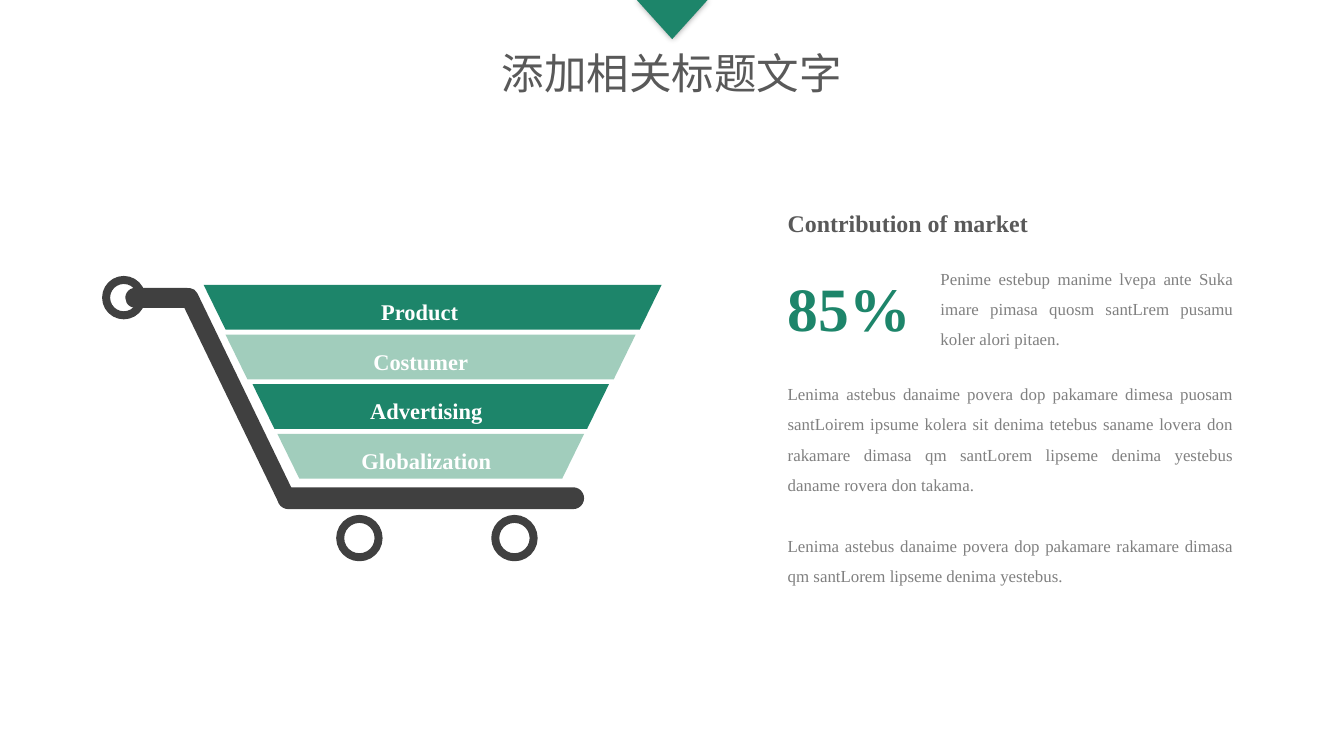
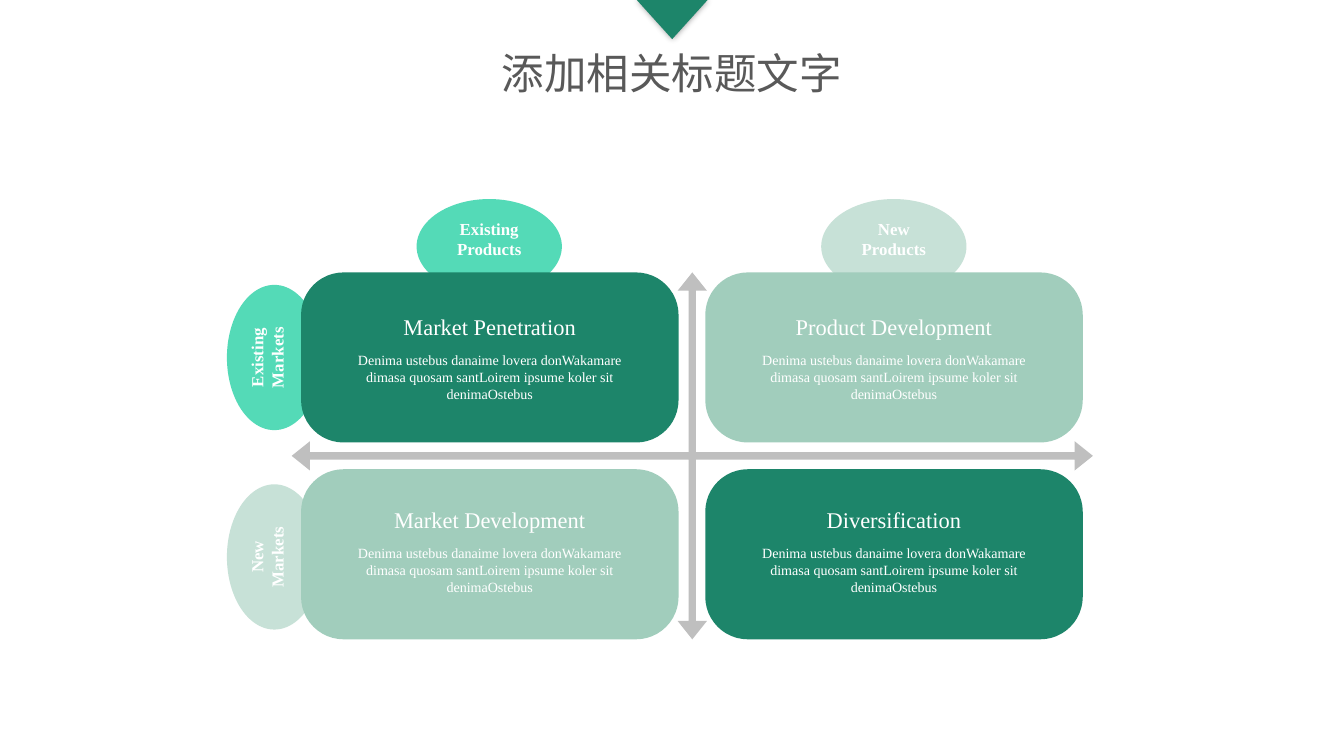
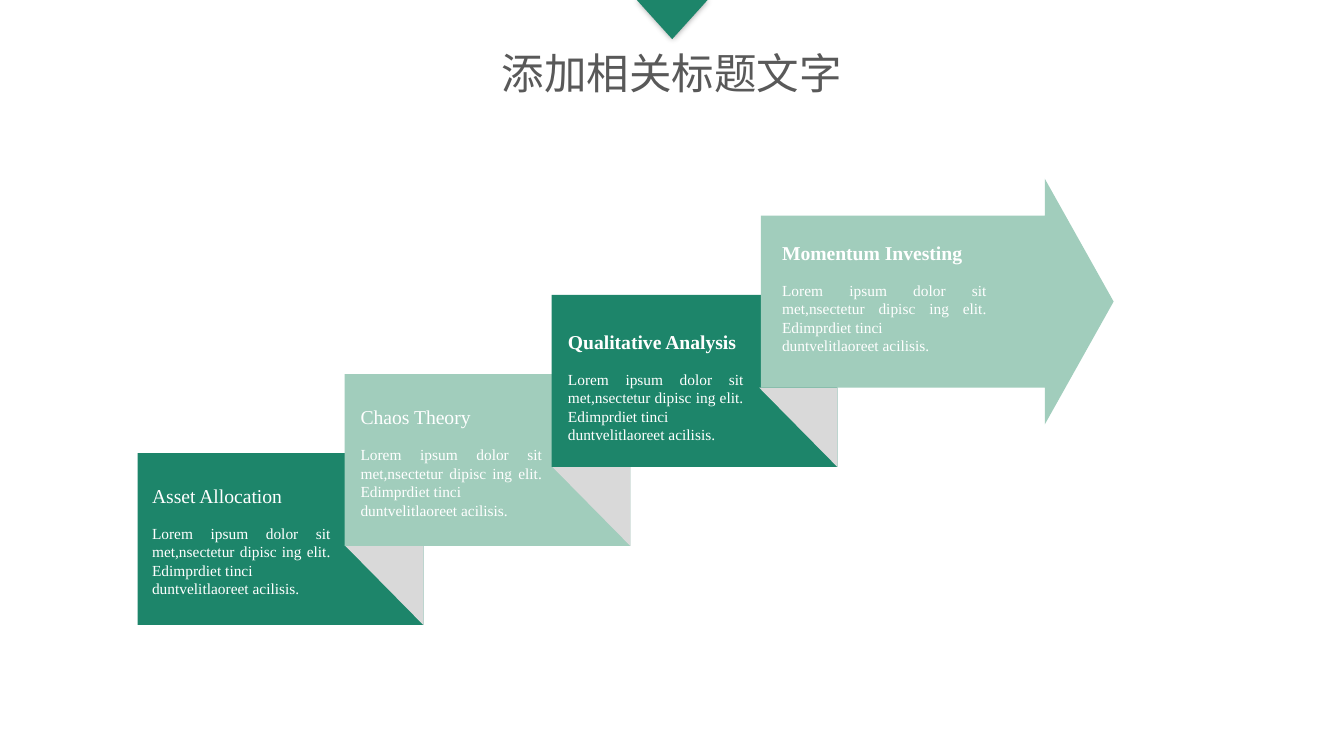
"""Build three slides: a market cart, a growth matrix and a rising arrow."""
from lxml.etree import SubElement
from pptx import Presentation
from pptx.dml.color import RGBColor
from pptx.enum.shapes import MSO_SHAPE
from pptx.enum.text import MSO_ANCHOR, PP_ALIGN
from pptx.oxml.ns import qn
from pptx.util import Cm, Pt

GREEN = RGBColor(0x1D, 0x85, 0x6A)
SAGE = RGBColor(0xA1, 0xCD, 0xBC)
MINT = RGBColor(0x54, 0xDA, 0xB7)
PALE = RGBColor(0xC7, 0xE1, 0xD7)
DARK = RGBColor(0x40, 0x40, 0x40)
SLATE = RGBColor(0x59, 0x59, 0x59)
GRAY = RGBColor(0x80, 0x80, 0x80)
STEEL = RGBColor(0xBF, 0xBF, 0xBF)
FOLD = RGBColor(0xD9, 0xD9, 0xD9)
WHITE = RGBColor(0xFF, 0xFF, 0xFF)
SERIF = "Times New Roman"
SANS = "Noto Sans CJK SC"
TITLE = "添加相关标题文字"

ROWS = [
    ("Product", 5.41, 12.17, 11.15),
    ("Costumer", 5.99, 10.9, 11.18),
    ("Advertising", 6.71, 9.47, 11.33),
    ("Globalization", 7.37, 8.15, 11.33),
]
INTRO = ("Penime estebup manime lvepa ante Suka imare pimasa quosm "
         "santLrem pusamu koler alori pitaen.")
LONG = ("Lenima astebus danaime povera dop pakamare dimesa puosam santLoirem "
        "ipsume kolera sit denima tetebus saname lovera don rakamare dimasa qm "
        "santLorem lipseme denima yestebus daname rovera don takama.")
SHORT = ("Lenima astebus danaime povera dop pakamare rakamare dimasa qm "
         "santLorem lipseme denima yestebus.")
OVALS = [
    ("Existing\nProducts", 13, 6.55, MINT, 0),
    ("New\nProducts", 23.75, 6.55, PALE, 0),
    ("New\nMarkets", 7.29, 14.8, PALE, 270),
    ("Existing\nMarkets", 7.29, 9.5, MINT, 270),
]
CARDS = [
    ("Market Penetration", GREEN),
    ("Product Development", SAGE),
    ("Market Development", SAGE),
    ("Diversification", GREEN),
]
NOTE = ("Denima ustebus danaime lovera donWakamare dimasa quosam santLoirem "
        "ipsume koler sit denimaOstebus")
STEPS = [
    ("Asset Allocation", 4.04, 12.85, 4.75, False),
    ("Chaos Theory", 9.58, 10.77, 4.83, False),
    ("Qualitative Analysis", 15.09, 8.76, 4.67, True),
    ("Momentum Investing", 20.78, 6.4, 5.44, True),
]
LOREM = ("Lorem ipsum dolor sit met,nsectetur dipisc ing elit. Edimprdiet tinci\n"
         "duntvelitlaoreet acilisis.")


def say(frame, text, size=12.7, tint=WHITE, bold=False, face=SERIF,
        align=PP_ALIGN.LEFT, line=None, gap=0, add=False):
    """Write lines of text as paragraphs, with the gap above the first."""
    for num, words in enumerate(text.split("\n")):
        para = frame.add_paragraph() if add or num else frame.paragraphs[0]
        para.alignment = align
        para.space_before = Pt(0 if num else gap)
        if line:
            para.line_spacing = line
        run = para.add_run()
        run.text = words
        font = run.font
        font.size, font.bold, font.name = Pt(size), bold, face
        font.color.rgb = tint
        SubElement(font._element, qn("a:ea")).set("typeface", face)


def fit(frame, pads=(0, 0, 0, 0), anchor=MSO_ANCHOR.TOP, wrap=True):
    """Set left, top, right and bottom insets, anchor and wrapping."""
    left, top, right, base = (Cm(pad) for pad in pads)
    frame.margin_left, frame.margin_top = left, top
    frame.margin_right, frame.margin_bottom = right, base
    frame.vertical_anchor = anchor
    frame.word_wrap = wrap
    return frame


def box(slide, left, top, width, height, **area):
    """Add a text box and return its frame."""
    area.setdefault("pads", (0.25, 0.13, 0.25, 0.13))
    item = slide.shapes.add_textbox(Cm(left), Cm(top), Cm(width), Cm(height))
    return fit(item.text_frame, **area)


def form(slide, kind, left, top, width, height, fill, turn=0, adj=()):
    """Add a plain filled preset shape."""
    item = slide.shapes.add_shape(kind, Cm(left), Cm(top), Cm(width), Cm(height))
    item.shadow.inherit = False
    item.fill.solid()
    item.fill.fore_color.rgb = fill
    item.line.fill.background()
    item.rotation = turn
    for num, value in enumerate(adj):
        item.adjustments[num] = value
    return item


def ring(slide, left, top, size):
    """Add an open circle with a thick dark line."""
    item = form(slide, MSO_SHAPE.OVAL, left, top, size, size, DARK)
    item.fill.background()
    item.line.color.rgb = DARK
    item.line.width = Pt(6)


def glow(item):
    """Give a shape a soft shadow on all sides."""
    list_ = item._element.spPr.find(qn("a:effectLst"))
    shade = SubElement(list_, qn("a:outerShdw"), blurRad=str(Pt(5)), dist="0",
                       dir="0", algn="ctr", rotWithShape="0")
    tone = SubElement(shade, qn("a:srgbClr"), val="000000")
    SubElement(tone, qn("a:alpha"), val="40000")


def page(deck):
    """Add a slide with the shared title and top marker."""
    slide = deck.slides.add_slide(deck.slide_layouts[5])
    title = slide.shapes.title
    title.left, title.top = Cm(12.7), Cm(1.14)
    title.width, title.height = Cm(10.31), Cm(1.55)
    frame = fit(title.text_frame, pads=(0.18, 0.1, 0.18, 0.1))
    say(frame, TITLE, size=32, tint=SLATE, face=SANS, align=PP_ALIGN.CENTER)
    glow(form(slide, MSO_SHAPE.ISOSCELES_TRIANGLE, 16.92, 0, 1.88, 1.04, GREEN,
              turn=180, adj=[0.5]))
    return slide


def cart(slide):
    """Draw the cart with its four layers."""
    for left, top, size in [(9.04, 13.79, 1.02), (13.16, 13.79, 1.02),
                            (2.82, 7.44, 0.94)]:
        ring(slide, left, top, size)
    for left, top, width, height, turn in [(7.37, 12.95, 8.15, 0.58, 0),
                                           (3.12, 10.31, 6.38, 0.48, 64.2),
                                           (3.33, 7.65, 1.88, 0.53, 0)]:
        form(slide, MSO_SHAPE.ROUNDED_RECTANGLE, left, top, width, height, DARK,
             turn=turn, adj=[0.5])
    for num, (name, left, width, mid) in enumerate(ROWS):
        top = 7.57 + 1.32 * num
        form(slide, MSO_SHAPE.TRAPEZOID, left, top, width, 1.19,
             SAGE if num % 2 else GREEN, turn=180, adj=[0.49])
        label = box(slide, mid - 2, top + 0.35, 4, 0.71, pads=(0, 0, 0, 0),
                    anchor=MSO_ANCHOR.MIDDLE)
        say(label, name, size=16.9, bold=True, align=PP_ALIGN.CENTER)


def market(slide):
    """Write the market figure and its notes."""
    say(box(slide, 20.68, 5.41, 6.96, 1.02, wrap=False),
        "Contribution of market", size=18, tint=SLATE, bold=True)
    say(box(slide, 20.68, 7.04, 3.81, 2.24, wrap=False), "85%", size=46.4,
        tint=GREEN, bold=True)
    prose = dict(tint=GRAY, align=PP_ALIGN.JUSTIFY, line=1.5)
    say(box(slide, 24.74, 6.73, 8.28, 2.69), INTRO, **prose)
    frame = box(slide, 20.68, 9.8, 12.34, 5.94)
    say(frame, LONG, **prose)
    say(frame, SHORT, gap=22.6, add=True, **prose)


def matrix(slide):
    """Draw the two by two matrix with tabs and arrows."""
    for name, mid, level, fill, turn in OVALS:
        tab = form(slide, MSO_SHAPE.OVAL, mid - 1.93, level - 1.26, 3.86, 2.52,
                   fill, turn=turn)
        frame = fit(tab.text_frame, pads=(0, 0, 0, 0.4), anchor=MSO_ANCHOR.MIDDLE)
        say(frame, name, bold=True, align=PP_ALIGN.CENTER)
    for num, (name, fill) in enumerate(CARDS):
        row, col = divmod(num, 2)
        card = form(slide, MSO_SHAPE.ROUNDED_RECTANGLE, 8 + 10.74 * col,
                    7.24 + 5.23 * row, 10.03, 4.52, fill, adj=[0.25])
        frame = fit(card.text_frame, pads=(0.88, 0, 0.88, 0.2 * row),
                    anchor=MSO_ANCHOR.MIDDLE)
        say(frame, name, size=16.9, align=PP_ALIGN.CENTER)
        say(frame, NOTE, size=10.6, align=PP_ALIGN.CENTER, gap=9, add=True)
    form(slide, MSO_SHAPE.QUAD_ARROW, 7.75, 7.24, 21.29, 9.75, STEEL,
         adj=[0.02, 0.04, 0.05])


def stairs(slide):
    """Draw the folded steps that rise to an arrow."""
    for num, fill in enumerate([GREEN, SAGE, GREEN]):
        left, top = 3.66 + 5.5 * num, 12.04 - 2.1 * num
        form(slide, MSO_SHAPE.RECTANGLE, left, top, 7.59, 4.57, fill)
        form(slide, MSO_SHAPE.RIGHT_TRIANGLE, left + 5.51, top + 2.46, 2.08, 2.11,
             FOLD, turn=180)
    form(slide, MSO_SHAPE.RIGHT_ARROW, 20.22, 4.75, 9.37, 6.53, SAGE,
         adj=[0.7, 0.28])
    for name, left, top, width, bold in STEPS:
        frame = box(slide, left, top, width, 3, pads=(0, 0, 0, 0))
        say(frame, name, size=14.8, bold=bold)
        say(frame, LOREM, size=11.6, align=PP_ALIGN.JUSTIFY, gap=12.5, add=True)


def main():
    """Build and save the deck."""
    deck = Presentation()
    deck.slide_width, deck.slide_height = Cm(35.71), Cm(20.09)
    first = page(deck)
    cart(first)
    market(first)
    matrix(page(deck))
    stairs(page(deck))
    deck.save("out.pptx")


if __name__ == "__main__":
    main()
